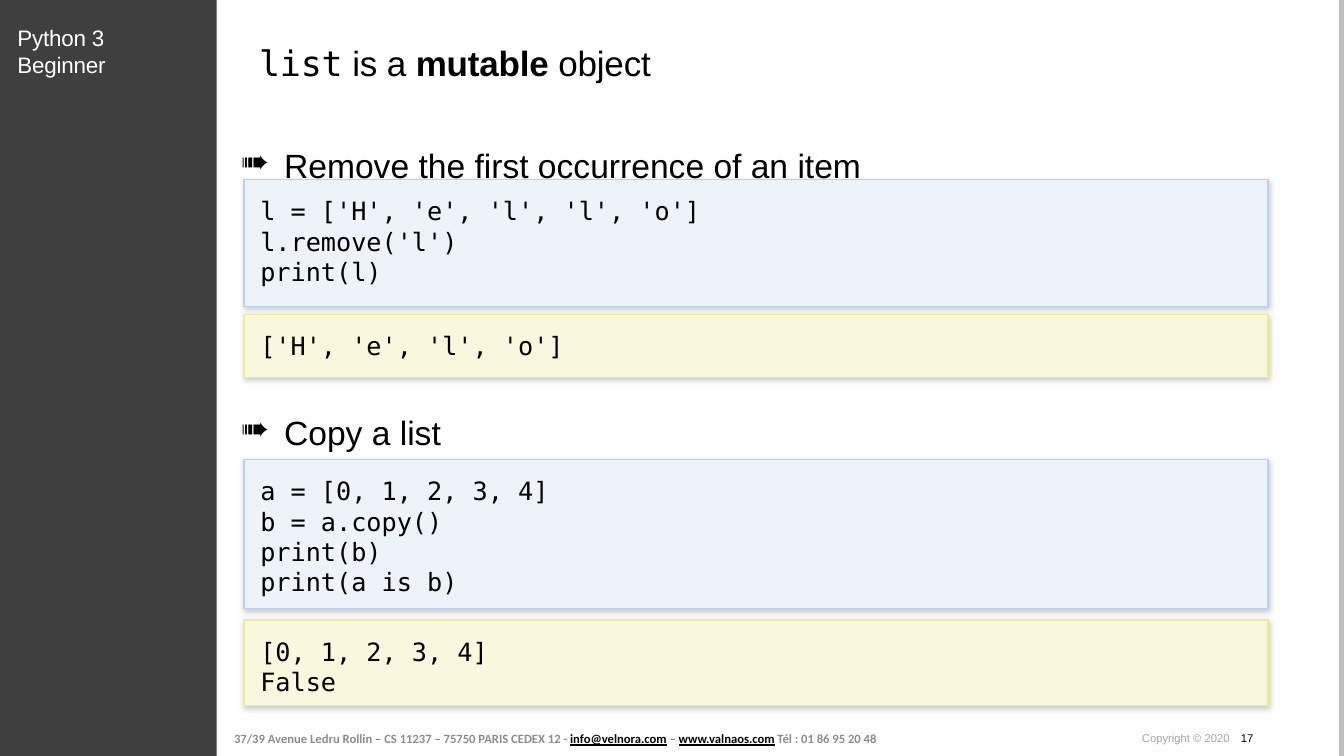
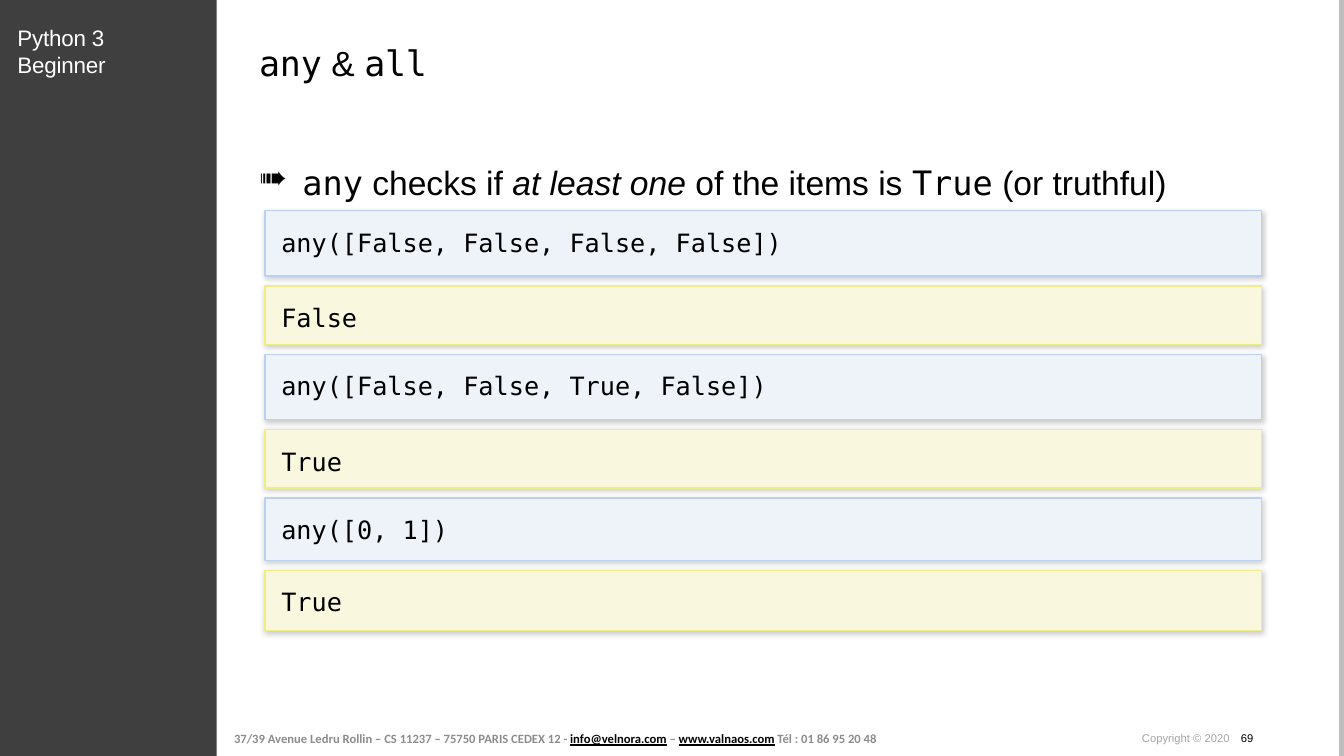
from dataclasses import dataclass

from lxml import etree
from pptx import Presentation
from pptx.dml.color import RGBColor
from pptx.enum.shapes import MSO_CONNECTOR, MSO_SHAPE
from pptx.enum.text import MSO_ANCHOR, MSO_AUTO_SIZE, PP_ALIGN
from pptx.oxml.ns import qn
from pptx.util import Cm, Pt

TOP, MIDDLE = MSO_ANCHOR.TOP, MSO_ANCHOR.MIDDLE
GROW = MSO_AUTO_SIZE.SHAPE_TO_FIT_TEXT
FIXED = MSO_AUTO_SIZE.NONE
LEFT = PP_ALIGN.LEFT
RECTANGLE = MSO_SHAPE.RECTANGLE
STRAIGHT = MSO_CONNECTOR.STRAIGHT


@dataclass(frozen=True)
class Theme:
    sans: str = "Arial"
    mono: str = "DejaVu Sans Mono"
    footer_font: str = "Calibri"
    ink: str = "000000"
    white: str = "FFFFFF"
    band: str = "3F3F3F"
    edge: str = "BEBEBE"
    footer: str = "8C8C8C"
    copyright: str = "A4A4A4"
    code_fill: str = "EEF3F9"
    code_line: str = "BBD2EE"
    result_fill: str = "F9F8DF"
    result_line: str = "F1ED86"
    title_size: float = 25
    heading_size: float = 24
    code_size: float = 18
    course_size: float = 16
    footer_size: float = 9
    copyright_size: float = 8
    tracking: int = -10


THEME = Theme()
PAGE_WIDTH, PAGE_HEIGHT = 33.87, 19.05
BULLET_INDENT = 1.09
NUMBER_TAB = 2.49


def color(value):
    return RGBColor.from_string(value)


def add_span(para, text, size, font=THEME.sans, ink=THEME.ink, bold=False,
             italic=False, underline=False, tracking=0):
    span = para.add_run()
    span.text = text
    span.font.size = Pt(size)
    span.font.name = font
    span.font.color.rgb = color(ink)
    span.font.bold = bold
    span.font.italic = italic
    span.font.underline = underline
    if tracking:
        span.font._element.set("spc", str(tracking))


def set_frame(frame, inset_x=0, inset_y=0, anchor=TOP, auto_size=GROW):
    frame.word_wrap = True
    frame.auto_size = auto_size
    frame.vertical_anchor = anchor
    frame.margin_left = frame.margin_right = Cm(inset_x)
    frame.margin_top = frame.margin_bottom = Cm(inset_y)


def add_text_box(page, left, top, width, height, **frame_options):
    """Add a wrapping text box and return its first paragraph."""
    box = page.shapes.add_textbox(Cm(left), Cm(top), Cm(width), Cm(height))
    set_frame(box.text_frame, **frame_options)
    return box.text_frame.paragraphs[0]


def add_rectangle(page, left, top, width, height, fill, line=None):
    box = page.shapes.add_shape(RECTANGLE, Cm(left), Cm(top), Cm(width), Cm(height))
    box.shadow.inherit = False
    box.fill.solid()
    box.fill.fore_color.rgb = color(fill)
    if line:
        box.line.color.rgb = color(line)
        box.line.width = Pt(1)
    else:
        box.line.fill.background()
    return box


def add_soft_shadow(box):
    effects = box._element.spPr.find(qn("a:effectLst"))
    shadow = etree.SubElement(effects, qn("a:outerShdw"), blurRad=str(Pt(4)),
                              dist=str(Pt(1)), dir="5400000", rotWithShape="0")
    ink = etree.SubElement(shadow, qn("a:srgbClr"), val=THEME.ink)
    etree.SubElement(ink, qn("a:alpha"), val="20000")


def add_panel(page, left, top, width, height, fill, line, code_lines):
    box = add_rectangle(page, left, top, width, height, fill, line)
    add_soft_shadow(box)
    frame = box.text_frame
    set_frame(frame, inset_x=0.41, inset_y=0.41, auto_size=FIXED)
    for index, code in enumerate(code_lines):
        para = frame.add_paragraph() if index else frame.paragraphs[0]
        para.alignment = LEFT
        add_span(para, code, THEME.code_size, THEME.mono)


def add_panels(page, left, top, width, gap, panels):
    """Stack panels of (height, lines), alternating code and result."""
    styles = ((THEME.code_fill, THEME.code_line),
              (THEME.result_fill, THEME.result_line))
    for index, (height, code_lines) in enumerate(panels):
        add_panel(page, left, top, width, height, *styles[index % 2], code_lines)
        top += height + gap


def add_title(page, spans):
    para = add_text_box(page, 6.53, 1.04, 25.17, 1.07)
    for text, options in spans:
        add_span(para, text, THEME.title_size, tracking=THEME.tracking, **options)


def add_heading(page, left, top, spans):
    para = add_text_box(page, left, top, 25.43, 1.37)
    props = para._p.get_or_add_pPr()
    props.set("marL", str(Cm(BULLET_INDENT)))
    props.set("indent", str(-Cm(BULLET_INDENT)))
    etree.SubElement(props, qn("a:buChar"), char="➠")
    para.line_spacing = 1.5
    for text, options in spans:
        add_span(para, text, THEME.heading_size, **options)


def add_edge(page):
    edge = page.shapes.add_connector(STRAIGHT, Cm(33.81), 0, Cm(33.81), Cm(PAGE_HEIGHT))
    edge.line.color.rgb = color(THEME.edge)
    edge.line.width = Pt(3.34)
    etree.SubElement(edge._element.spPr, qn("a:effectLst"))


def add_footer(page):
    para = add_text_box(page, 5.72, 18.21, 16.97, 0.81, inset_x=0.18, inset_y=0.1,
                        anchor=MIDDLE, auto_size=FIXED)
    plain = {"ink": THEME.footer}
    link = {"ink": THEME.ink, "underline": True}
    for text, options in (
        ("37/39 Avenue Ledru Rollin – CS 11237 – 75750 PARIS CEDEX 12 - ", plain),
        ("info@velnora.com", link),
        (" – ", plain),
        ("www.valnaos.com", link),
        (" Tél : 01 86 95 20 48", plain),
    ):
        add_span(para, text, THEME.footer_size, THEME.footer_font, bold=True, **options)


def add_copyright(page, number):
    para = add_text_box(page, 28.78, 18.42, 4.37, 0.33)
    tabs = etree.SubElement(para._p.get_or_add_pPr(), qn("a:tabLst"))
    etree.SubElement(tabs, qn("a:tab"), pos=str(Cm(NUMBER_TAB)), algn="l")
    add_span(para, "Copyright © 2020", THEME.copyright_size, ink=THEME.copyright)
    add_span(para, f"\t{number}", THEME.copyright_size)


def add_page(deck, number, title):
    page = deck.slides.add_slide(deck.slide_layouts[6])
    page.background.fill.solid()
    page.background.fill.fore_color.rgb = color(THEME.white)
    add_edge(page)
    add_rectangle(page, 0, 0, 5.46, PAGE_HEIGHT, THEME.band)
    add_footer(page)
    course = add_text_box(page, 0.44, 0.61, 4.4, 1.37)
    add_span(course, "Python 3 Beginner", THEME.course_size, ink=THEME.white,
             tracking=THEME.tracking)
    add_title(page, title)
    add_copyright(page, number)
    return page


def add_mutable_page(deck):
    page = add_page(deck, 17, [
        ("list", {"font": THEME.mono}), (" is a ", {}),
        ("mutable", {"bold": True}), (" object", {}),
    ])
    left, width = 6.15, 25.81
    add_panels(page, left, 4.52, width, 0.2, [
        (3.2, ["l = ['H', 'e', 'l', 'l', 'o']", "l.remove('l')", "print(l)"]),
        (1.6, ["['H', 'e', 'l', 'o']"]),
    ])
    add_panels(page, left, 11.58, width, 0.28, [
        (3.76, ["a = [0, 1, 2, 3, 4]", "b = a.copy()", "print(b)", "print(a is b)"]),
        (2.16, ["[0, 1, 2, 3, 4]", "False"]),
    ])
    add_heading(page, 6.07, 3.15, [("Remove the first occurrence of an item", {})])
    add_heading(page, 6.07, 9.88, [("Copy a list", {})])


def add_any_all_page(deck):
    mono = {"font": THEME.mono}
    page = add_page(deck, 69, [("any", mono), (" & ", {}), ("all", mono)])
    add_heading(page, 6.53, 3.56, [
        ("any", mono), (" checks if ", {}), ("at least one", {"italic": True}),
        (" of the items is ", {}), ("True", mono), (" (or truthful)", {}),
    ])
    add_panels(page, 6.68, 5.31, 25.12, 0.25, [
        (1.65, ["any([False, False, False, False])"]),
        (1.47, ["False"]),
        (1.65, ["any([False, False, True, False])"]),
        (1.47, ["True"]),
        (1.57, ["any([0, 1])"]),
        (1.52, ["True"]),
    ])


def main():
    deck = Presentation()
    deck.slide_width, deck.slide_height = Cm(PAGE_WIDTH), Cm(PAGE_HEIGHT)
    add_mutable_page(deck)
    add_any_all_page(deck)
    deck.save("out.pptx")


if __name__ == "__main__":
    main()
